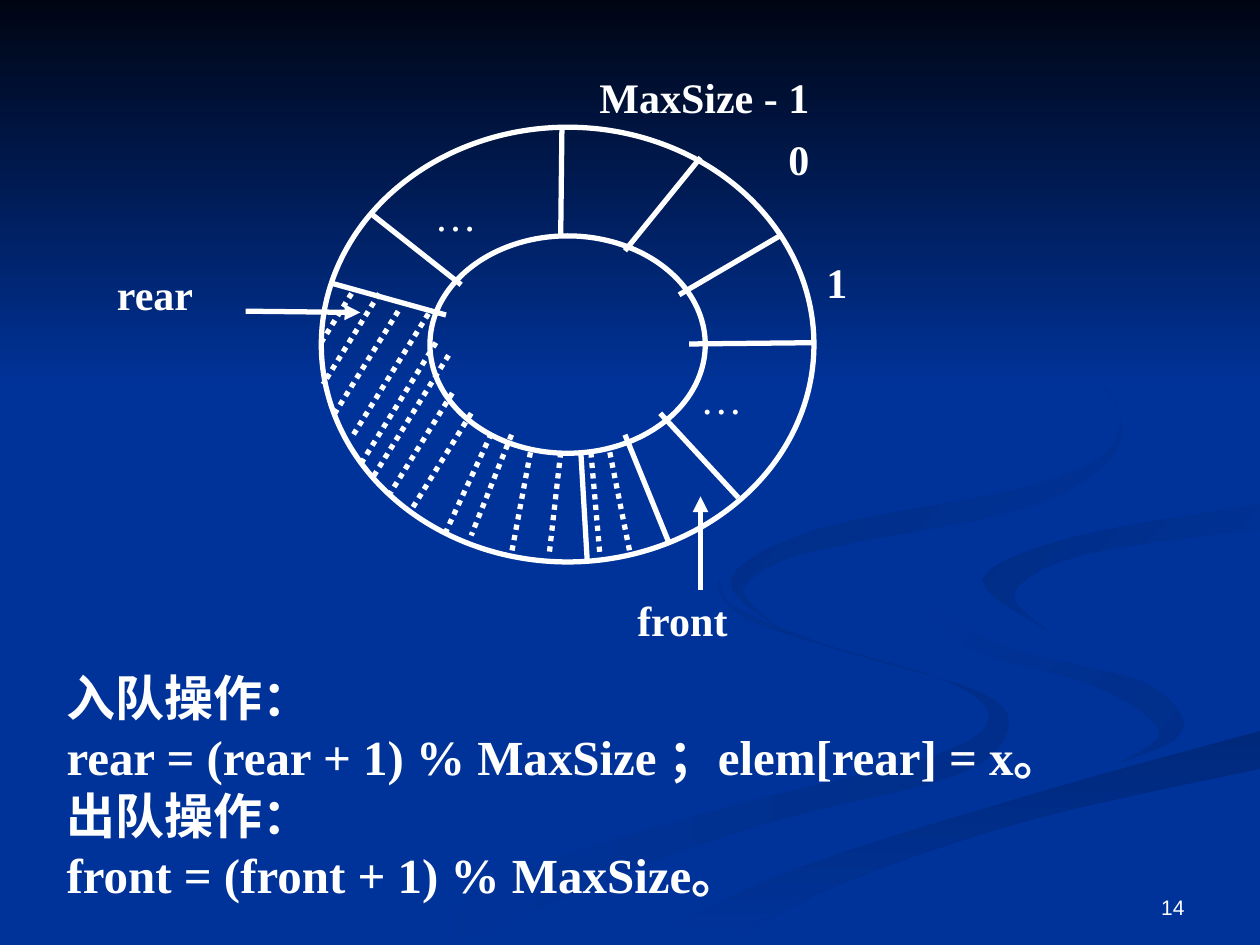
import itertools

import pptx
import pptx.dml.color
import pptx.enum.dml
import pptx.enum.shapes
import pptx.enum.text
import pptx.oxml
import pptx.oxml.ns
import pptx.util

ANCHOR = pptx.enum.text.MSO_ANCHOR
ALIGN = pptx.enum.text.PP_ALIGN
COLORS = {"blue": "003399", "night": "000514", "ink": "FFFFFF", "shade_a": "002E8A",
          "shade_b": "00297C", "shade_c": "002C85", "shade_d": "002B81"}
SERIF, SANS = "Times New Roman", "Arial"
COLUMNS, ROWS = 100, 75  # every position below is (column, row) on this grid

# Edges that neighbouring ribbons share
ROAD_TOP = [(50, 75), (63, 69), (82, 63), (100, 58)]
BEND_TOP = [(100, 40), (85, 42.7), (78, 46), (83, 50)]

# Background ribbons: first colour, last colour, clockwise angle, smooth edges in order
RIBBONS = [
    ("shade_a", "blue", 180, [
        [(57, 46), (58, 48), (65, 51), (75, 54), (78.5, 57), (74, 60), (58, 64), (42, 69),
         (30, 75)],
        [(36, 75), (50, 69), (62, 65), (76, 61.5), (80, 58), (78, 55), (68, 52), (59, 49),
         (57, 46)]]),
    ("shade_a", "blue", 225, [
        [(89, 60.5), (94, 58), (90.5, 54), (79, 51), (72.5, 46)],
        [(72.5, 46), (76, 51), (87, 54.5), (92, 58), (89, 60.5)]]),
    ("shade_b", "blue", 90, [ROAD_TOP, [(100, 61), (82, 65), (67, 70), (57, 75)]]),
    ("blue", "blue", 0, [
        [(48, 75), (62, 68), (78, 63.5), (91, 60), (94, 57), (90.5, 54), (79, 51),
         (72.5, 46), (79, 42), (92, 40), (100, 39)],
        BEND_TOP, [(83, 50), (90, 52), (100, 54)], ROAD_TOP[::-1]]),
    ("blue", "shade_c", 225, [BEND_TOP, [(83, 50), (80.5, 47), (86, 44), (100, 42)]]),
    ("blue", "shade_d", 225, [
        [(68, 43), (82.5, 40), (89, 35), (86, 29), (76, 23)],
        [(76, 23), (87, 30), (88.5, 35), (82, 38.5), (65, 42), (58, 46), (62, 50)],
        [(62, 50), (59, 47), (62, 44.5), (68, 43)]]),
    ("night", "blue", 90, [[(0, 0), (0, 30.8)], [(100, 30.8), (100, 0)]]),
]

RING = (25.5, 10.1, 39.1, 34.5)
DIVIDERS = [
    ((44.6, 10.1), (44.5, 18.7)), ((54.7, 27.3), (64.6, 27.2)), ((52.4, 32.8), (58.6, 39.5)),
    ((26.4, 22.5), (35.4, 25)), ((55.6, 12.5), (49.6, 19.9)), ((53.9, 23.4), (62.1, 18.6)),
    ((49.6, 34.5), (53.1, 43.1)), ((46.1, 35.9), (46.6, 44.4)), ((29.5, 17), (36.6, 22.6)),
]
# Parallel strokes: left, top, drop; each moves left by the same share of its drop
SLANT = -0.62
SLANTED = [
    (27.9, 23.3, 3.9), (30.1, 23.3, 7.2), (31.6, 24.7, 8.1), (34, 24.9, 9.8),
    (34.6, 27.2, 9.8), (35.6, 28.2, 9.9), (35.9, 31.2, 7.9), (37.4, 32.8, 7.9),
]
# Fanned strokes: left, top, sideways shift; all have the same drop
FAN_DROP = 8
FANNED = [(39, 34.4, -3.7), (40.6, 34.5, -3.2), (42.1, 35.9, -1.5),
          (44.5, 35.9, -0.9), (46.9, 35.9, 0.7), (48.4, 35.9, 1.6)]
POINTERS = [((55.6, 46.8), (55.6, 39.4)), ((19.5, 24.7), (28.6, 24.8))]

# Labels: text, left, top, width
LABEL_HEIGHT = 7.4
LABELS = [("front", 49.6, 46.7, 15), ("rear", 8.3, 20.8, 15), ("MaxSize - 1", 46.6, 5.2, 24),
          ("0", 61.6, 10.1, 9), ("1", 64.6, 19.9, 9)]
ELLIPSES = [(55.6, 29.6), (34.5, 15)]
OPERATIONS = ("入队操作：\nrear = (rear + 1) % MaxSize ；elem[rear] = x。\n"
              "出队操作：\nfront = (front + 1) % MaxSize。")

deck = pptx.Presentation()
deck.slide_width, deck.slide_height = pptx.util.Inches(10), pptx.util.Inches(7.5)
page = deck.slides.add_slide(deck.slide_layouts[6])


def color(name):
    return pptx.dml.color.RGBColor.from_string(COLORS[name])


def place(column, row):
    return round(column * deck.slide_width / COLUMNS), round(row * deck.slide_height / ROWS)


def frame(left, top, width, height):
    return *place(left, top), *place(width, height)


def smooth(edge, steps=5):
    """Return points on a Catmull-Rom curve through the points of an open edge."""
    knots = [edge[0], *edge, edge[-1]]
    points = []
    for before, start, end, after in zip(knots, knots[1:], knots[2:], knots[3:]):
        for t in (step / steps for step in range(steps)):
            points.append(tuple(
                b + (c - a) * t / 2 + (a - 2.5 * b + 2 * c - d / 2) * t ** 2
                + (3 * b - a - 3 * c + d) * t ** 3 / 2
                for a, b, c, d in zip(before, start, end, after)))
    return points + [edge[-1]]


def add_ribbon(first, last, angle, edges):
    outline = itertools.chain.from_iterable(smooth(edge) for edge in edges)
    corners = [place(*point) for point in outline]
    builder = page.shapes.build_freeform(*corners[0])
    builder.add_line_segments(corners[1:], close=True)
    ribbon = builder.convert_to_shape()
    ribbon.shadow.inherit = False
    ribbon.line.fill.background()
    if first == last:
        ribbon.fill.solid()
        ribbon.fill.fore_color.rgb = color(first)
        return
    ribbon.fill.gradient()
    ribbon.fill.gradient_angle = (360 - angle) % 360  # python-pptx counts counter-clockwise
    for stop, name in zip(ribbon.fill.gradient_stops, (first, last)):
        stop.color.rgb = color(name)


def add_line(start, end, dotted=False, arrow=False):
    line = page.shapes.add_connector(
        pptx.enum.shapes.MSO_CONNECTOR.STRAIGHT, *place(*start), *place(*end))
    line.line.color.rgb = color("ink")
    line.line.width = pptx.util.Pt(3)
    if dotted:
        line.line.dash_style = pptx.enum.dml.MSO_LINE.ROUND_DOT
    if arrow:
        tail = pptx.oxml.parse_xml(
            f'<a:tailEnd {pptx.oxml.ns.nsdecls("a")} type="triangle"/>')
        line.line._get_or_add_ln().append(tail)
    line._element.spPr.append(
        pptx.oxml.parse_xml(f'<a:effectLst {pptx.oxml.ns.nsdecls("a")}/>'))


def add_text(text, area, size=24, font=SERIF, bold=True, align=ALIGN.JUSTIFY,
             anchor=ANCHOR.TOP, inset=True):
    box = page.shapes.add_textbox(*frame(*area)).text_frame
    box.word_wrap = True
    box.vertical_anchor = anchor
    if not inset:
        box.margin_left = box.margin_right = box.margin_top = box.margin_bottom = 0
    box.text = text
    for para in box.paragraphs:
        para.alignment = align
        for span in para.runs:
            span.font.size = pptx.util.Pt(size)
            span.font.name = font
            span.font.bold = bold
            span.font.color.rgb = color("ink")


page.background.fill.solid()
page.background.fill.fore_color.rgb = color("blue")
for ribbon_parts in RIBBONS:
    add_ribbon(*ribbon_parts)

ring = page.shapes.add_shape(pptx.enum.shapes.MSO_SHAPE.DONUT, *frame(*RING))
ring.adjustments[0] = 0.25
ring.shadow.inherit = False
ring.fill.background()
ring.line.color.rgb = color("ink")
ring.line.width = pptx.util.Pt(3)

for ends in DIVIDERS:
    add_line(*ends)
strokes = [(left, top, SLANT * drop, drop) for left, top, drop in SLANTED]
strokes += [(left, top, shift, FAN_DROP) for left, top, shift in FANNED]
for left, top, shift, drop in strokes:
    add_line((left, top), (left + shift, top + drop), dotted=True)
for ends in POINTERS:
    add_line(*ends, arrow=True)

for label, left, top, width in LABELS:
    add_text(label, (left, top, width, LABEL_HEIGHT))
for corner in ELLIPSES:
    add_text("…", (*corner, 6, 4.9), bold=False, inset=False)
add_text(OPERATIONS, (4.3, 52.5, 90.6, 19.7), size=28, align=ALIGN.LEFT, anchor=ANCHOR.MIDDLE)
add_text("14", (71.7, 68.3, 23.3, 5.2), size=12, font=SANS, bold=False,
         align=ALIGN.RIGHT, anchor=ANCHOR.BOTTOM)

deck.save("out.pptx")
